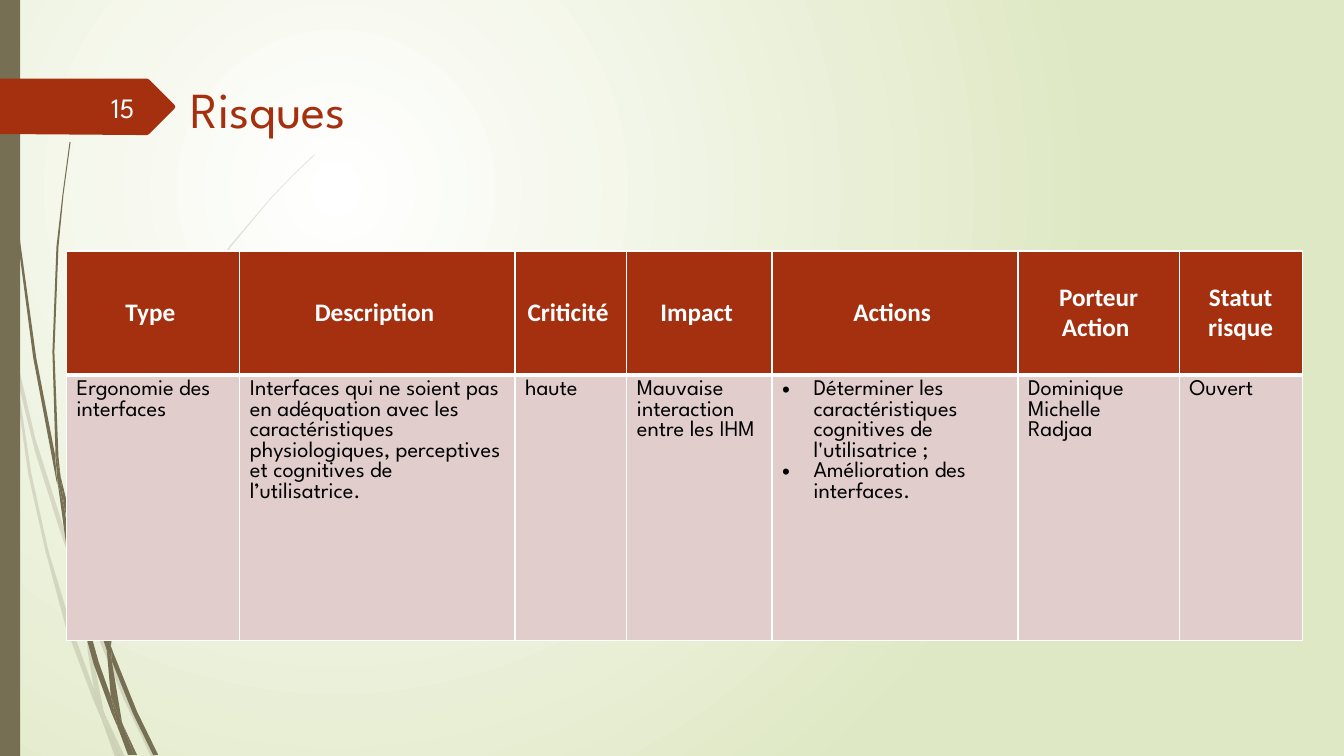
"""Builds the risk table slide."""
from lxml import etree
from pptx import Presentation
from pptx import util as u
from pptx.dml.color import RGBColor
from pptx.enum import shapes, text
from pptx.oxml.ns import qn

Pt = u.Pt
RUST = RGBColor(0xA5, 0x30, 0x10)
OLIVE = RGBColor(0x76, 0x6F, 0x54)
PINK = RGBColor(0xE1, 0xCD, 0xCC)
LIME = RGBColor(0xDF, 0xE8, 0xC4)
WHITE = RGBColor(0xFF, 0xFF, 0xFF)
OFF_WHITE = RGBColor(0xFE, 0xFF, 0xFF)
BLACK = RGBColor(0, 0, 0)
BODY_FONT, HEAD_FONT = "League Spartan", "Calibri"
UNIT = Pt(0.72)

PALE_BLADES = [
    [(11, 350), (9, 322), (0, 282), (0, 299), (10, 344)],
    [(58, 522), (84, 599), (85, 586), (62, 520), (35, 435), (14, 345), (17, 376), (35, 449)],
    [(92, 607), (88, 596), (88, 610), (123, 694), (150, 751), (155, 751), (127, 692)],
    [(119, 751), (124, 751), (105, 711)],
    [(93, 683), (70, 619), (48, 546), (31, 469), (17, 376), (11, 350), (28, 470),
     (45, 546), (65, 621), (92, 693), (101, 714), (99, 707)],
    [(84, 599), (87, 646), (93, 683), (96, 692), (105, 711), (103, 706), (91, 646),
     (88, 610), (88, 608)],
    [(88, 584), (92, 523), (110, 462), (160, 349), (229, 245), (268, 198), (290, 175),
     (312, 154), (312, 153), (289, 175), (268, 197), (228, 244), (158, 348), (107, 461),
     (89, 522), (85, 584), (85, 586), (88, 596)],
    [(101, 714), (114, 751), (119, 751)],
    [(88, 608), (88, 610), (88, 596), (85, 586), (84, 599)],
    [(96, 692), (93, 683), (99, 707), (101, 714), (119, 751), (105, 711)],
]
DARK_BLADES = [
    [(7, 110), (17, 233), (33, 355), (56, 477), (57, 481), (55, 457), (55, 453),
     (36, 355), (19, 232), (8, 109), (5, 48), (4, 0), (3, 0), (4, 48)],
    [(88, 592), (106, 645), (106, 633), (106, 631), (93, 590), (75, 533), (60, 472),
     (64, 505), (75, 549)],
    [(113, 649), (110, 641), (111, 656), (132, 708), (152, 749), (157, 749), (136, 706)],
    [(110, 691), (98, 657), (84, 607), (72, 556), (64, 505), (57, 477), (68, 557),
     (79, 608), (93, 659), (111, 708), (117, 722), (116, 717)],
    [(60, 472), (58, 453), (54, 349), (58, 245), (63, 193), (70, 141), (69, 141),
     (62, 193), (56, 245), (52, 349), (55, 449), (60, 472)],
    [(133, 749), (136, 749), (122, 719)],
    [(57, 477), (64, 505), (60, 472), (55, 449), (55, 453)],
    [(111, 633), (114, 592), (125, 552), (158, 476), (205, 406), (231, 374), (245, 359),
     (261, 344), (260, 344), (245, 358), (231, 373), (204, 405), (156, 474), (122, 551),
     (111, 590), (106, 631), (110, 641)],
    [(117, 722), (127, 749), (131, 749)],
    [(106, 645), (110, 691), (116, 706), (122, 719), (121, 716), (111, 656), (109, 651)],
    [(106, 645), (109, 651), (111, 656), (110, 641), (106, 631), (106, 633)],
    [(116, 706), (110, 691), (116, 717), (117, 722), (130, 749), (133, 749), (122, 719)],
]
RIBBON = [(173, 108), (148, 133), (146, 134), (136, 134), (0, 133), (0, 78),
          (146, 78), (148, 79), (173, 104), (174, 106)]

COLUMNS = [
    ("Type ", "Ergonomie des interfaces", 123.84),
    ("Description ", "Interfaces qui ne soient pas en adéquation avec les caractéristiques "
     "physiologiques, perceptives et cognitives de l’utilisatrice.", 196.56),
    ("Criticité ", "haute", 79.92),
    ("Impact ", "Mauvaise interaction entre les IHM", 103.68),
    ("Actions ", "Déterminer les caractéristiques cognitives de l'utilisatrice ; \n"
     "Amélioration des interfaces.", 175.68),
    ("Porteur Action ", "Dominique\nMichelle\nRadjaa", 115.2),
    ("Statut\vrisque", "Ouvert", 87.84),
]


def write(tf, content, size=16, font=BODY_FONT, color=BLACK, bold=False, align=None, bullet=False):
    """Fill a text frame with one formatted paragraph per line."""
    tf.word_wrap = True
    tf.text = content
    for p in tf.paragraphs:
        p.alignment = align
        for r in p.runs:
            r.font.size, r.font.name, r.font.bold = Pt(size), font, bold
            r.font.color.rgb = color
        if bullet:
            pPr = p._p.get_or_add_pPr()
            pPr.set("marL", str(Pt(22.5)))
            pPr.set("indent", str(-Pt(22.5)))
            etree.SubElement(pPr, qn("a:buFont")).set("typeface", "Arial")
            etree.SubElement(pPr, qn("a:buChar")).set("char", "•")


def add_text(s, box, content, **fmt):
    """Add a vertically centred text box."""
    sp = s.shapes.add_textbox(*map(Pt, box))
    sp.text_frame.vertical_anchor = text.MSO_ANCHOR.MIDDLE
    write(sp.text_frame, content, **fmt)


def paint(sp, color, opacity=100):
    """Give a shape a plain fill without line or shadow."""
    sp.shadow.inherit = False
    sp.line.fill.background()
    sp.fill.solid()
    sp.fill.fore_color.rgb = color
    if opacity < 100:
        clr = sp._element.spPr.find(".//" + qn("a:srgbClr"))
        etree.SubElement(clr, qn("a:alpha")).set("val", str(opacity * 1000))


def add_outline(s, points, color, opacity=100):
    """Draw a closed outline given in hundredths of an inch."""
    fb = s.shapes.build_freeform(*points[0], scale=UNIT)
    fb.add_line_segments(points[1:], close=True)
    paint(fb.convert_to_shape(), color, opacity)


def set_background(s):
    """Set the radial gradient background."""
    fill = s.background.fill
    fill.gradient()
    for stop, color in zip(fill.gradient_stops, (WHITE, LIME)):
        stop.color.rgb = color
    lin = s._element.find(".//" + qn("a:lin"))
    circle = etree.Element(qn("a:path"), path="circle")
    etree.SubElement(circle, qn("a:fillToRect"), l="50000", t="50000", r="100000", b="100000")
    lin.getparent().replace(lin, circle)


def set_cell(cell, content, fill, borders, **fmt):
    """Fill one table cell and draw its white borders."""
    write(cell.text_frame, content, **fmt)
    tcPr = cell._tc.get_or_add_tcPr()
    for side, width in borders.items():
        ln = etree.SubElement(tcPr, qn("a:ln" + side), w=str(Pt(width)))
        solid = etree.SubElement(ln, qn("a:solidFill"))
        etree.SubElement(solid, qn("a:srgbClr"), val=str(WHITE))
    cell.fill.solid()
    cell.fill.fore_color.rgb = fill


def add_risk_table(s):
    """Add the table with one header row and one risk."""
    widths = [width for _, _, width in COLUMNS]
    box = map(Pt, (47.5, 179.3, sum(widths), 278))
    table = s.shapes.add_table(2, len(COLUMNS), *box).table
    table.rows[0].height, table.rows[1].height = Pt(88.5), Pt(189.5)
    for i, (head, body, width) in enumerate(COLUMNS):
        table.columns[i].width = Pt(width)
        top, bottom = table.cell(0, i), table.cell(1, i)
        top.vertical_anchor = text.MSO_ANCHOR.MIDDLE
        set_cell(top, head, RUST, {"L": 1, "R": 1, "T": 1, "B": 3}, size=18, font=HEAD_FONT,
                 color=WHITE, bold=True, align=text.PP_ALIGN.CENTER)
        set_cell(bottom, body, PINK, {"L": 1, "R": 1, "T": 3, "B": 1}, bullet=head == "Actions ")


def main():
    """Build and save the slide."""
    prs = Presentation()
    prs.slide_width, prs.slide_height = Pt(960), Pt(540)
    s = prs.slides.add_slide(prs.slide_layouts[6])
    set_background(s)
    for blade in PALE_BLADES:
        add_outline(s, blade, OLIVE, opacity=20)
    for blade in DARK_BLADES:
        add_outline(s, blade, OLIVE)
    bar = s.shapes.add_shape(shapes.MSO_SHAPE.RECTANGLE, 0, 0, Pt(14.4), Pt(540))
    paint(bar, OLIVE)
    add_outline(s, RIBBON, RUST)
    add_text(s, (128.9, 50.4, 702, 54.7), "Risques", size=36, color=RUST)
    add_risk_table(s)
    add_text(s, (41.8, 61.9, 61.2, 28.8), "15", size=20, color=OFF_WHITE,
             align=text.PP_ALIGN.RIGHT)
    prs.save("out.pptx")


main()
